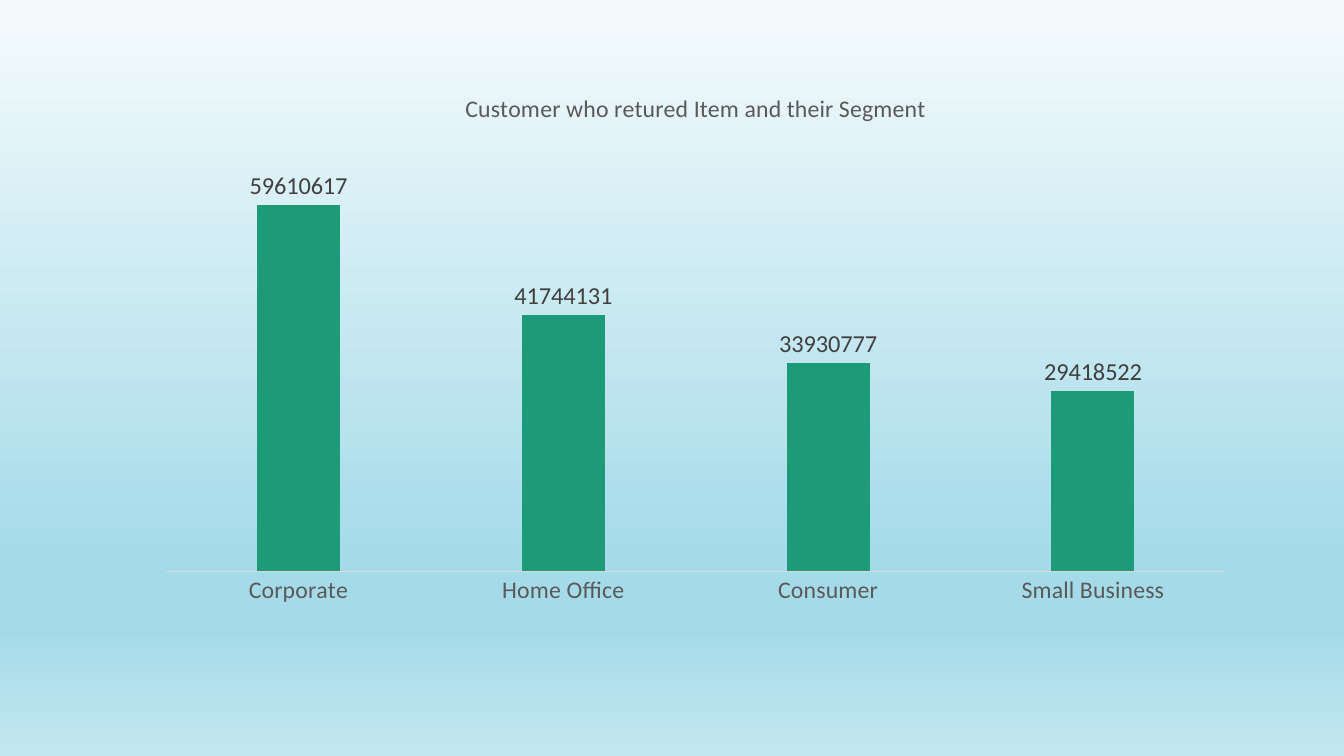
import copy

import pptx
import pptx.chart.data
import pptx.dml.color
import pptx.enum.chart
import pptx.oxml
import pptx.util
from pptx.dml.color import RGBColor
from pptx.util import Cm

GREEN = RGBColor(0x1D, 0x9A, 0x78)
GREY = RGBColor(0x59, 0x59, 0x59)
DARK = RGBColor(0x40, 0x40, 0x40)
AXIS = RGBColor(0xD9, 0xD9, 0xD9)
SKY = [
    (0, RGBColor(0xF5, 0xFB, 0xFD)),
    (0.74, RGBColor(0xA5, 0xDB, 0xE9)),
    (0.83, RGBColor(0xA5, 0xDB, 0xE9)),
    (1, RGBColor(0xC3, 0xE7, 0xF0)),
]
FONT = "Calibri"
SEGMENTS = {
    "Corporate": 59610617,
    "Home Office": 41744131,
    "Consumer": 33930777,
    "Small Business": 29418522,
}


def set_font(font, size, color):
    font.name = FONT
    font.size = pptx.util.Pt(size)
    font.bold = False
    font.color.rgb = color


def paint_background(s):
    fill = s.background.fill
    fill.gradient()
    fill.gradient_angle = 270
    # The default gradient has two stops; extend it to the full list
    stops = s.background._cSld.find(".//" + pptx.oxml.ns.qn("a:gsLst"))
    while len(stops) < len(SKY):
        stops.append(copy.deepcopy(stops[0]))
    for stop, (position, color) in zip(fill.gradient_stops, SKY):
        stop.position = position
        stop.color.rgb = color


def set_plot_area(chart, x, y, w, h):
    """Fix the inner plot area, in fractions of the chart."""
    plot_area = chart._chartSpace.chart.plotArea
    for old in plot_area.findall(pptx.oxml.ns.qn("c:layout")):
        plot_area.remove(old)
    sizes = "".join(f'<c:{k} val="{v}"/>' for k, v in zip("xywh", (x, y, w, h)))
    plot_area.insert(0, pptx.oxml.parse_xml(
        f'<c:layout {pptx.oxml.ns.nsdecls("c")}><c:manualLayout>'
        '<c:layoutTarget val="inner"/><c:xMode val="edge"/><c:yMode val="edge"/>'
        f'{sizes}</c:manualLayout></c:layout>'))


def add_segment_chart(s, left, top, width, height):
    data = pptx.chart.data.CategoryChartData()
    data.categories = list(SEGMENTS)
    data.add_series("Series 1", list(SEGMENTS.values()))
    chart = s.shapes.add_chart(
        pptx.enum.chart.XL_CHART_TYPE.COLUMN_CLUSTERED,
        left, top, width, height, data).chart
    set_font(chart.font, 10, RGBColor(0, 0, 0))
    chart.has_legend = False
    set_plot_area(chart, 0.02, 0.13, 0.96, 0.79)

    # Title
    chart.has_title = True
    chart.chart_title.include_in_layout = False
    p = chart.chart_title.text_frame.paragraphs[0]
    p.text = "Customer who retured Item and their Segment"
    set_font(p.font, 17, GREY)

    # Axes
    axis = chart.category_axis
    axis.major_tick_mark = pptx.enum.chart.XL_TICK_MARK.NONE
    axis.format.line.color.rgb = AXIS
    axis.format.line.width = pptx.util.Pt(0.75)
    set_font(axis.tick_labels.font, 17, GREY)
    values = chart.value_axis
    values.minimum_scale, values.maximum_scale = 0, 70000000
    values.has_major_gridlines = False
    values.visible = False

    # Columns and their labels
    plot = chart.plots[0]
    plot.gap_width, plot.overlap = 219, -27
    plot.vary_by_categories = False
    series = plot.series[0]
    series.format.fill.solid()
    series.format.fill.fore_color.rgb = GREEN
    labels = series.data_labels
    labels.show_value = True
    labels.position = pptx.enum.chart.XL_LABEL_POSITION.OUTSIDE_END
    set_font(labels.font, 17.4, DARK)


def main():
    prs = pptx.Presentation()
    prs.slide_width, prs.slide_height = Cm(33.87), Cm(19.05)
    s = prs.slides.add_slide(prs.slide_layouts[6])
    paint_background(s)
    add_segment_chart(s, Cm(3.63), Cm(1.78), Cm(27.81), Cm(13.72))
    prs.save("out.pptx")


if __name__ == "__main__":
    main()
